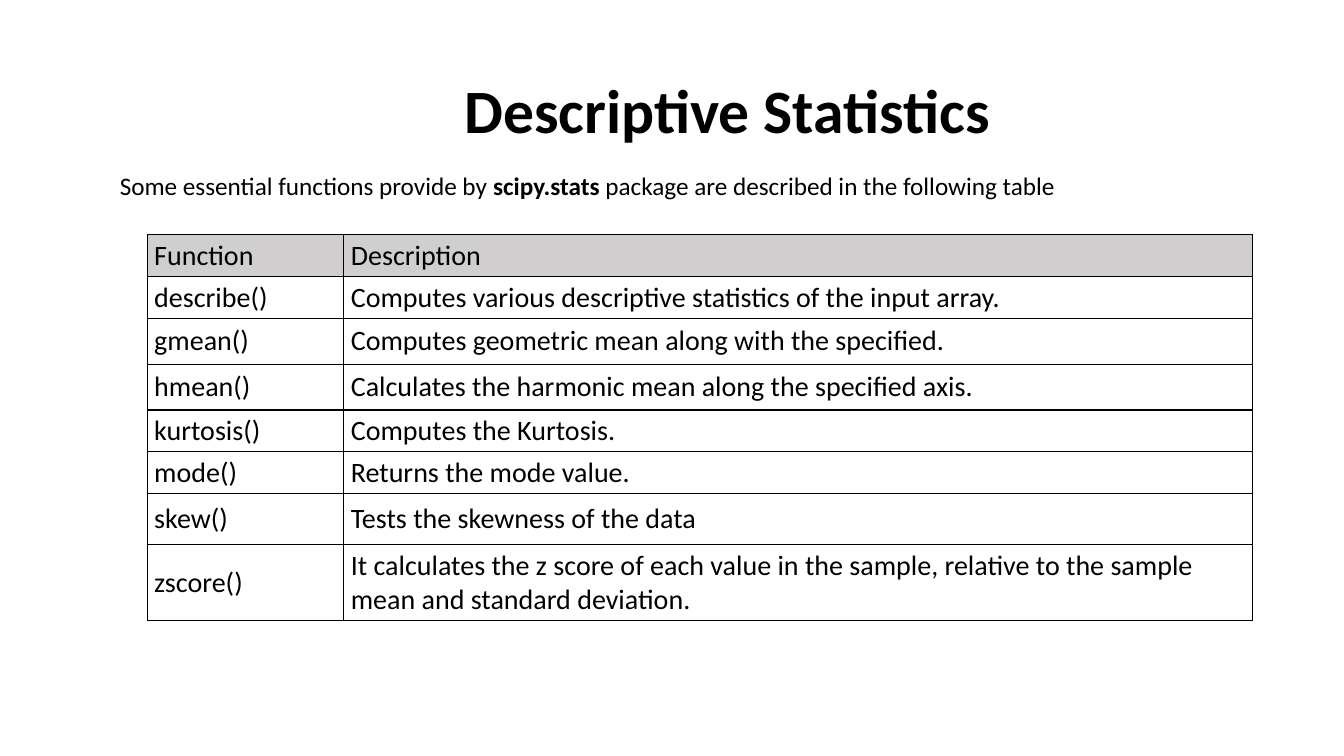
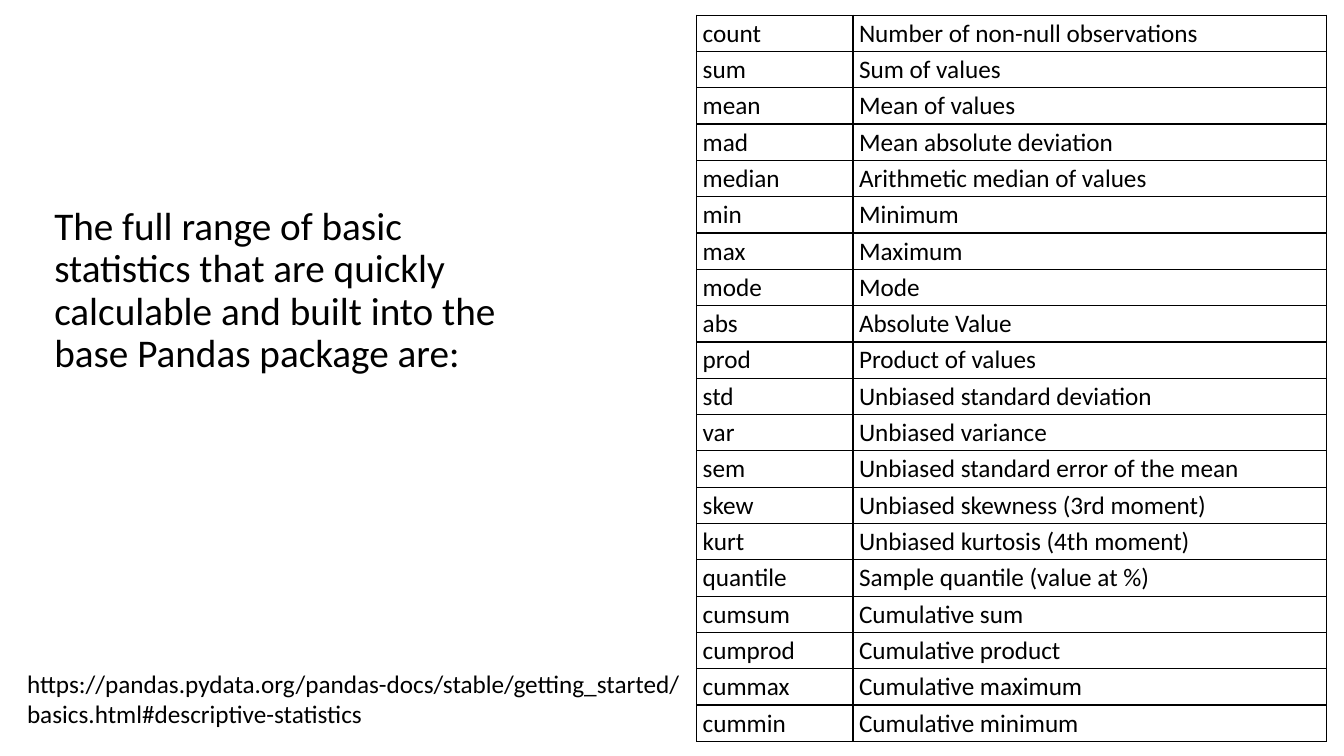
from dataclasses import dataclass

from lxml import etree
from pptx import Presentation
from pptx.dml.color import RGBColor
from pptx.enum.text import MSO_ANCHOR, PP_ALIGN
from pptx.oxml.ns import qn
from pptx.util import Emu, Pt

TOP, MIDDLE = MSO_ANCHOR.TOP, MSO_ANCHOR.MIDDLE
LEFT, CENTER = PP_ALIGN.LEFT, PP_ALIGN.CENTER
SCALE = 9144


@dataclass(frozen=True)
class Theme:
    font: str = "Calibri"
    ink: str = "000000"
    head: str = "D0CECE"
    title: int = 44
    lead: int = 28
    cell: int = 20
    body: int = 18
    rule: int = 1


THEME = Theme()

TITLE = "Descriptive Statistics"
INTRO = [
    ("Some essential functions provide by ", False),
    ("scipy.stats", True),
    (" package are described in the following table", False),
]
SCIPY = [
    ("Function", "Description"),
    ("describe()", "Computes various descriptive statistics of the input array."),
    ("gmean()", "Computes geometric mean along with the specified."),
    ("hmean()", "Calculates the harmonic mean along the specified axis."),
    ("kurtosis()", "Computes the Kurtosis."),
    ("mode()", "Returns the mode value."),
    ("skew()", "Tests the skewness of the data"),
    ("zscore()", "It calculates the z score of each value in the sample, "
                 "relative to the sample mean and standard deviation."),
]
HEIGHTS = [41, 41, 46, 45, 41, 41, 51, 75]

LEAD = ("The full range of basic statistics that are quickly calculable "
        "and built into the base Pandas package are:")
LINK = ("https://pandas.pydata.org/pandas-docs/stable/getting_started/"
        "basics.html#descriptive-statistics")
PANDAS = [
    ("count", "Number of non-null observations"),
    ("sum", "Sum of values"),
    ("mean", "Mean of values"),
    ("mad", "Mean absolute deviation"),
    ("median", "Arithmetic median of values"),
    ("min", "Minimum"),
    ("max", "Maximum"),
    ("mode", "Mode"),
    ("abs", "Absolute Value"),
    ("prod", "Product of values"),
    ("std", "Unbiased standard deviation"),
    ("var", "Unbiased variance"),
    ("sem", "Unbiased standard error of the mean"),
    ("skew", "Unbiased skewness (3rd moment)"),
    ("kurt", "Unbiased kurtosis (4th moment)"),
    ("quantile", "Sample quantile (value at %)"),
    ("cumsum", "Cumulative sum"),
    ("cumprod", "Cumulative product"),
    ("cummax", "Cumulative maximum"),
    ("cummin", "Cumulative minimum"),
]


def px(size):
    return Emu(size * SCALE)


def style(run, size, bold=False):
    font = run.font
    font.name, font.size, font.bold = THEME.font, Pt(size), bold
    font.color.rgb = RGBColor.from_string(THEME.ink)


def add_text(slide, box, parts, size, align=LEFT, anchor=TOP, spacing=1.0):
    frame = slide.shapes.add_textbox(*map(px, box)).text_frame
    frame.word_wrap = True
    frame.vertical_anchor = anchor
    para = frame.paragraphs[0]
    para.alignment, para.line_spacing = align, spacing
    for text, bold in parts:
        run = para.add_run()
        run.text = text
        style(run, size, bold)


def add_rules(cell):
    props = cell._tc.get_or_add_tcPr()
    for spot, side in enumerate(("lnL", "lnR", "lnT", "lnB")):
        line = etree.Element(qn(f"a:{side}"), w=str(Pt(THEME.rule)))
        fill = etree.SubElement(line, qn("a:solidFill"))
        etree.SubElement(fill, qn("a:srgbClr"), val=THEME.ink)
        props.insert(spot, line)


def add_grid(slide, left, top, widths, heights, rows, size, pad, header=False):
    box = (left, top, sum(widths), sum(heights))
    table = slide.shapes.add_table(len(rows), len(widths), *map(px, box)).table
    table.first_row = table.horz_banding = False
    for col, width in zip(table.columns, widths):
        col.width = px(width)
    for r, (row, height) in enumerate(zip(rows, heights)):
        table.rows[r].height = px(height)
        for c, text in enumerate(row):
            cell = table.cell(r, c)
            cell.text_frame.text = text
            style(cell.text_frame.paragraphs[0].runs[0], size)
            cell.vertical_anchor = MIDDLE
            cell.margin_left = cell.margin_right = px(pad[0])
            cell.margin_top = cell.margin_bottom = px(pad[1])
            if header and r == 0:
                cell.fill.solid()
                cell.fill.fore_color.rgb = RGBColor.from_string(THEME.head)
            else:
                cell.fill.background()
            add_rules(cell)


def scipy_slide(slide):
    add_text(slide, (201, 40, 1041, 145), [(TITLE, True)], THEME.title,
             CENTER, MIDDLE, 0.9)
    add_grid(slide, 146, 233, (195, 901), HEIGHTS, SCIPY, THEME.cell, (7, 4), True)
    add_text(slide, (109, 164, 1150, 40), INTRO, THEME.body)


def pandas_slide(slide):
    add_text(slide, (44, 200, 477, 235), [(LEAD, False)], THEME.lead, spacing=0.9)
    add_grid(slide, 691, 15, (155, 470), [36] * len(PANDAS), PANDAS,
             THEME.body, (6, 3))
    add_text(slide, (17, 658, 734, 71), [(LINK, False)], THEME.body)


def main():
    deck = Presentation()
    deck.slide_width, deck.slide_height = px(1333), px(750)
    for build in (scipy_slide, pandas_slide):
        build(deck.slides.add_slide(deck.slide_layouts[6]))
    deck.save("out.pptx")


if __name__ == "__main__":
    main()
